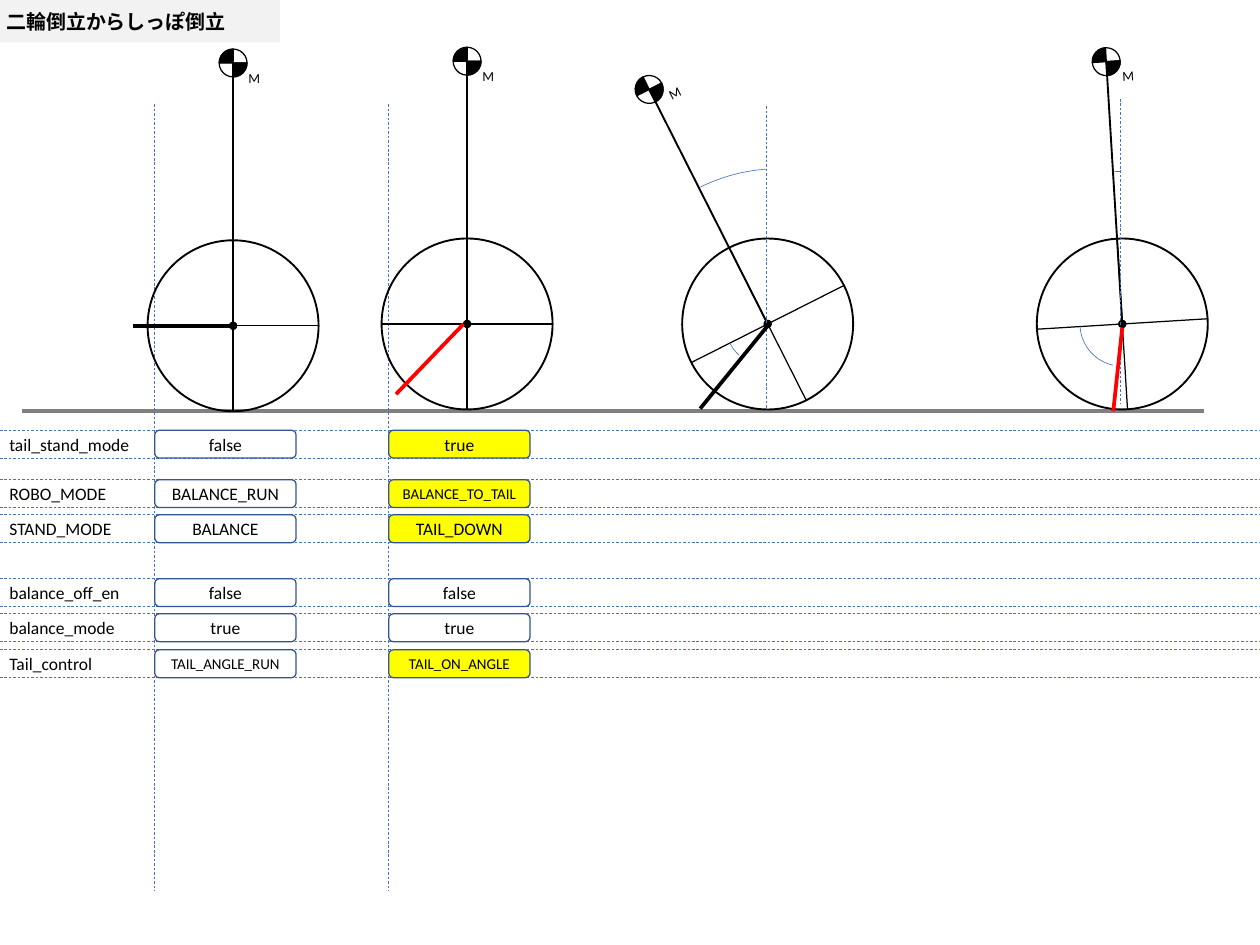
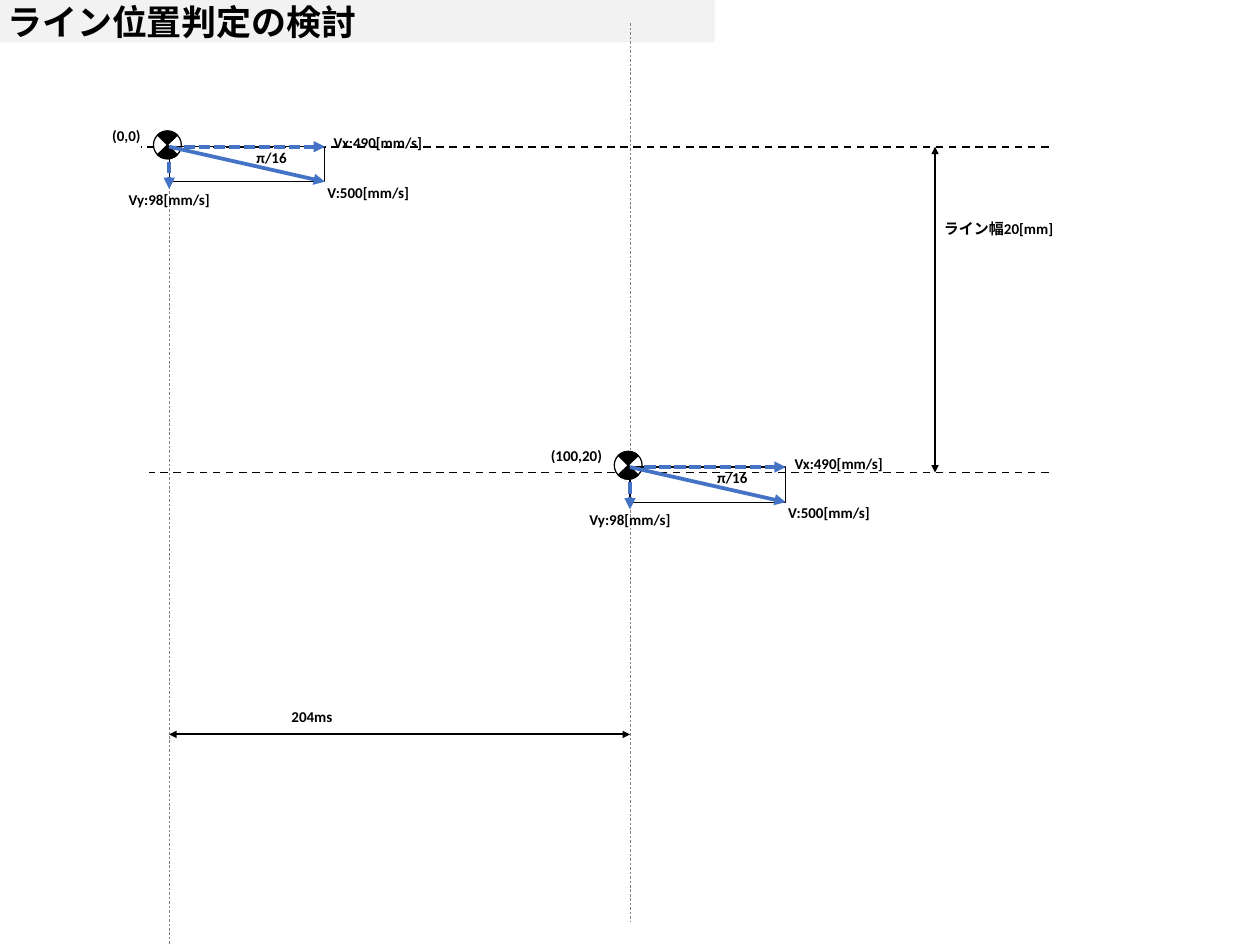
from dataclasses import dataclass
from math import cos, radians, sin
from typing import NamedTuple, Optional

from lxml.etree import SubElement
from pptx import Presentation
from pptx.dml.color import RGBColor
from pptx.enum.dml import MSO_LINE
from pptx.enum.shapes import MSO_CONNECTOR, MSO_SHAPE
from pptx.enum.text import MSO_ANCHOR, MSO_AUTO_SIZE, PP_ALIGN
from pptx.oxml.ns import qn
from pptx.util import Inches, Pt

FONT = "Calibri"
BLACK, WHITE, GREY, BAND = "000000", "FFFFFF", "808080", "F2F2F2"
BLUE, NAVY, RED, YELLOW = "4472C4", "325491", "FF0000", "FFFF00"
SLIDE_WIDTH, SLIDE_HEIGHT = 14, 10.5
QUARTER, FULL_TURN = 54.36, 215.83
MARK_SIZE = 0.31


class Point(NamedTuple):
    x: float
    y: float

    def moved(self, dx: float, dy: float) -> "Point":
        return Point(self.x + dx, self.y + dy)


class Area(NamedTuple):
    left: float
    top: float
    width: float
    height: float

    def lengths(self) -> list:
        return [Inches(value) for value in self]


def square(centre: Point, size: float) -> Area:
    return Area(centre.x - size / 2, centre.y - size / 2, size, size)


class Tail(NamedTuple):
    start: Point
    end: Point
    color: str


class Lean(NamedTuple):
    """Plumb line and angle arcs of a tilted robot."""
    plumb_top: Point
    tail_arc_start: float
    mast_arc_end: float


@dataclass
class Robot:
    hub: Point
    tail: Tail
    tilt: float = 0
    lean: Optional[Lean] = None

    def place(self, dx: float, dy: float) -> Point:
        """Turn an offset from the hub of an upright robot by the tilt."""
        angle = radians(self.tilt)
        return self.hub.moved(dx * cos(angle) - dy * sin(angle),
                              dx * sin(angle) + dy * cos(angle))


class State(NamedTuple):
    text: str
    changed: bool = False
    size: int = 14


class StateRow(NamedTuple):
    top: float
    name: str
    states: tuple


class Label(NamedTuple):
    text: str
    dx: float
    dy: float
    width: float


ROBOTS = [
    Robot(Point(2.59, 3.62), Tail(Point(2.56, 3.62), Point(1.48, 3.62), BLACK)),
    Robot(Point(5.19, 3.6), Tail(Point(5.15, 3.6), Point(4.4, 4.38), RED)),
    Robot(Point(8.53, 3.6), Tail(Point(8.53, 3.62), Point(7.78, 4.54), BLACK),
          -26.8, Lean(Point(8.52, 1.18), 95.51, 175.64)),
    Robot(Point(12.47, 3.6), Tail(Point(12.47, 3.64), Point(12.37, 4.57), RED),
          -3.5, Lean(Point(12.45, 1.1), 63.81, 163.44)),
]

STATE_COLUMNS = (1.72, 4.32)
ROW_HEIGHT = 0.31
STATE_ROWS = [
    StateRow(4.78, "tail_stand_mode", (State("false"), State("true", True))),
    StateRow(5.33, "ROBO_MODE",
             (State("BALANCE_RUN"), State("BALANCE_TO_TAIL", True, 12))),
    StateRow(5.72, "STAND_MODE", (State("BALANCE"), State("TAIL_DOWN", True))),
    StateRow(6.43, "balance_off_en", (State("false"), State("false"))),
    StateRow(6.82, "balance_mode", (State("true"), State("true"))),
    StateRow(7.22, "Tail_control",
             (State("TAIL_ANGLE_RUN", size=12), State("TAIL_ON_ANGLE", True, 12))),
]

VELOCITY_LABELS = [
    Label("π/16", 0.87, -0.08, 0.63),
    Label("V:500[mm/s]", 1.66, 0.31, 1.18),
    Label("Vx:490[mm/s]", 1.73, -0.24, 1.34),
    Label("Vy:98[mm/s]", -0.55, 0.39, 1.34),
]


def rgb(color: str) -> RGBColor:
    return RGBColor.from_string(color)


def write(shape, text: str, size: float, bold: bool = False,
          align: PP_ALIGN = PP_ALIGN.LEFT) -> None:
    frame = shape.text_frame
    frame.word_wrap = True
    frame.auto_size = MSO_AUTO_SIZE.NONE
    frame.vertical_anchor = MSO_ANCHOR.MIDDLE
    para = frame.paragraphs[0]
    para.alignment = align
    span = para.add_run()
    span.text = text
    span.font.name, span.font.size, span.font.bold = FONT, Pt(size), bold
    span.font.color.rgb = rgb(BLACK)


def add_figure(shapes, kind: MSO_SHAPE, area: Area, fill: Optional[str] = None,
               line: Optional[str] = BLACK, weight: float = 1,
               turn: float = 0, adjust: tuple = ()):
    shape = shapes.add_shape(kind, *area.lengths())
    shape.shadow.inherit = False
    shape.rotation = turn
    for index, value in enumerate(adjust):
        shape.adjustments[index] = value
    if fill:
        shape.fill.solid()
        shape.fill.fore_color.rgb = rgb(fill)
    else:
        shape.fill.background()
    if line:
        shape.line.color.rgb = rgb(line)
        shape.line.width = Pt(weight)
    else:
        shape.line.fill.background()
    return shape


def add_line(shapes, start: Point, end: Point, color: str = BLACK,
             weight: float = 1, dash: Optional[MSO_LINE] = None,
             arrows: tuple = ()) -> None:
    """Draw a line; arrows names its arrowed ends, headEnd or tailEnd."""
    connector = shapes.add_connector(
        MSO_CONNECTOR.STRAIGHT, *(Inches(value) for value in (*start, *end)))
    connector.line.color.rgb = rgb(color)
    connector.line.width = Pt(weight)
    if dash:
        connector.line.dash_style = dash
    properties = connector.element.spPr
    outline = properties.find(qn("a:ln"))
    for arrow in arrows:
        SubElement(outline, qn(f"a:{arrow}"), type="triangle")
    SubElement(properties, qn("a:effectLst"))


def add_text(shapes, text: str, area: Area, size: float = 12, bold: bool = True,
             align: PP_ALIGN = PP_ALIGN.LEFT, turn: float = 0) -> None:
    box = shapes.add_textbox(*area.lengths())
    box.rotation = turn
    write(box, text, size, bold, align)


def add_page(deck, title: str, band: Area, size: float):
    page = deck.slides.add_slide(deck.slide_layouts[5])
    heading = page.shapes.title
    heading.left, heading.top, heading.width, heading.height = band.lengths()
    heading.fill.solid()
    heading.fill.fore_color.rgb = rgb(BAND)
    write(heading, title, size, bold=True)
    return page


def add_mass_mark(shapes, centre: Point, turn: float,
                  back: Optional[str] = None) -> None:
    area = square(centre, MARK_SIZE)
    for fill, end, extra in ((back, FULL_TURN, 0), (BLACK, QUARTER, 0),
                             (BLACK, QUARTER, 180)):
        add_figure(shapes, MSO_SHAPE.PIE, area, fill, turn=turn + extra,
                   adjust=(0, end))


def add_robot(page, robot: Robot) -> None:
    shapes = page.shapes.add_group_shape().shapes
    radius, mast, turn = 0.95, 2.92, robot.tilt
    add_mass_mark(shapes, robot.place(0, -mast), turn)
    add_figure(shapes, MSO_SHAPE.OVAL, square(robot.hub, 2 * radius),
               weight=1.5, turn=turn)
    add_line(shapes, robot.place(-radius, 0), robot.place(radius, 0))
    add_line(shapes, robot.place(0, -radius), robot.place(0, radius))
    add_figure(shapes, MSO_SHAPE.OVAL, square(robot.hub, 0.08), BLACK, turn=turn)
    add_line(shapes, robot.hub, robot.place(0, -mast), weight=1.5)
    middle = robot.place(0.23, -2.76)
    add_text(shapes, "M", Area(middle.x - 0.23, middle.y - 0.15, 0.47, 0.31),
             11, False, PP_ALIGN.CENTER, turn)
    if robot.lean:
        top = robot.lean.plumb_top
        arcs = ((robot.hub, 0.94, (robot.lean.tail_arc_start, 108)),
                (robot.place(0, 0.29), 3.97, (162.26, robot.lean.mast_arc_end)))
        for centre, size, angles in arcs:
            add_figure(shapes, MSO_SHAPE.ARC, square(centre, size), line=BLUE,
                       weight=0.5, turn=turn, adjust=angles)
        add_line(shapes, top, top.moved(0, 3.39), BLUE, 0.5, MSO_LINE.DASH)
    add_line(shapes, *robot.tail, weight=3)


def add_state_row(page, row: StateRow) -> None:
    for y in (row.top, row.top + ROW_HEIGHT):
        add_line(page.shapes, Point(0, y), Point(SLIDE_WIDTH, y), BLUE, 0.5,
                 MSO_LINE.DASH)
    name = add_figure(page.shapes, MSO_SHAPE.ROUNDED_RECTANGLE,
                      Area(-0.01, row.top, 1.81, ROW_HEIGHT), line=None)
    write(name, row.name, 14)
    for left, state in zip(STATE_COLUMNS, row.states):
        box = add_figure(page.shapes, MSO_SHAPE.ROUNDED_RECTANGLE,
                         Area(left, row.top, 1.57, ROW_HEIGHT),
                         YELLOW if state.changed else WHITE, NAVY)
        write(box, state.text, state.size, align=PP_ALIGN.CENTER)


def add_velocity(page, origin: Point, position: str, width: float) -> None:
    """Draw the velocity of the mass at one position, split into x and y."""
    shapes = page.shapes.add_group_shape().shapes
    add_mass_mark(shapes, origin.moved(-0.02, -0.02), 45, WHITE)
    add_figure(shapes, MSO_SHAPE.RECTANGLE, Area(*origin, 1.73, 0.39))
    vectors = (((0, 0), (1.73, 0.39), None),
               ((0.16, 0), (1.73, 0), MSO_LINE.SQUARE_DOT),
               ((0, 0.17), (0, 0.47), MSO_LINE.SQUARE_DOT))
    for start, end, dash in vectors:
        add_line(shapes, origin.moved(*start), origin.moved(*end), BLUE, 3, dash,
                 ("tailEnd",))
    for label in VELOCITY_LABELS:
        corner = origin.moved(label.dx, label.dy)
        add_text(shapes, label.text, Area(*corner, label.width, 0.39))
    corner = origin.moved(-0.16 - width, -0.32)
    add_text(shapes, position, Area(*corner, width, 0.39), align=PP_ALIGN.CENTER)


def build_stand_page(deck) -> None:
    page = add_page(deck, "二輪倒立からしっぽ倒立", Area(-0.03, 0, 3.14, 0.47), 16)
    add_line(page.shapes, Point(0.24, 4.57), Point(13.38, 4.57), GREY, 3)
    for x in STATE_COLUMNS:
        add_line(page.shapes, Point(x, 1.16), Point(x, 9.9), BLUE, 0.5,
                 MSO_LINE.DASH)
    for robot in ROBOTS:
        add_robot(page, robot)
    for row in STATE_ROWS:
        add_state_row(page, row)


def build_line_page(deck) -> None:
    page = add_page(deck, "ライン位置判定の検討", Area(-0.02, 0, 7.96, 0.47), 28)
    shapes = page.shapes
    first, second = Point(1.88, 1.63), Point(7, 5.19)
    line_edge, both_ends = 5.25, ("headEnd", "tailEnd")
    for x, top, bottom in ((first.x, first.y, 10.58), (second.x, 0.26, 10.24)):
        add_line(shapes, Point(x, top), Point(x, bottom), GREY, 0.5, MSO_LINE.DASH)
    for left, y in ((1.57, first.y), (1.65, line_edge)):
        add_line(shapes, Point(11.65, y), Point(left, y), BLACK, 1.5, MSO_LINE.DASH)
    add_line(shapes, Point(10.39, first.y), Point(10.39, line_edge), weight=1.5,
             arrows=both_ends)
    add_text(shapes, "ライン幅20[mm]", Area(10.39, 2.34, 1.73, 0.39))
    add_line(shapes, Point(first.x, 8.16), Point(second.x, 8.16), weight=1.5,
             arrows=both_ends)
    add_text(shapes, "204ms", Area(3.14, 7.77, 1.73, 0.39))
    add_velocity(page, first, "(0,0)", 0.63)
    add_velocity(page, second, "(100,20)", 0.87)


def main() -> None:
    deck = Presentation()
    deck.slide_width, deck.slide_height = Inches(SLIDE_WIDTH), Inches(SLIDE_HEIGHT)
    build_stand_page(deck)
    build_line_page(deck)
    deck.save("out.pptx")


if __name__ == "__main__":
    main()
